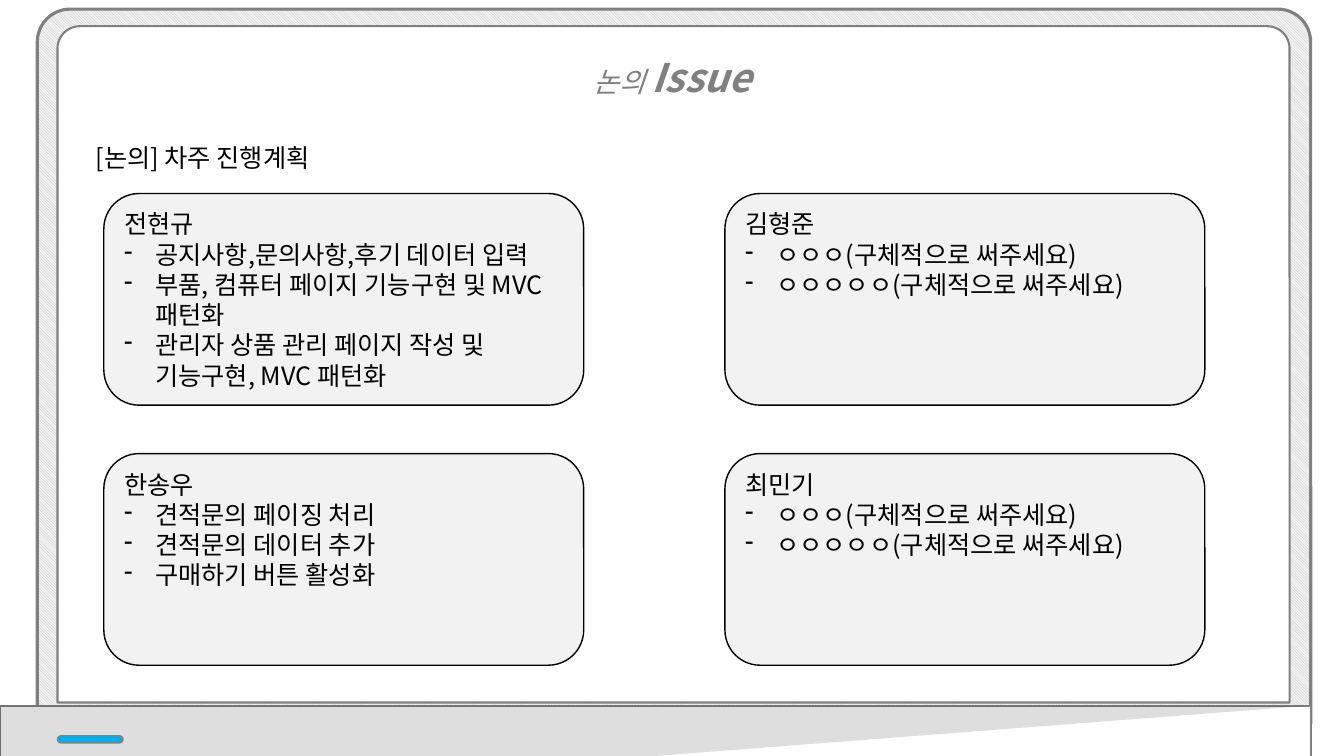
from dataclasses import dataclass

from lxml import etree
from pptx import Presentation
from pptx.dml.color import RGBColor
from pptx.enum import dml, shapes, text
from pptx.oxml import ns
from pptx.util import Inches, Pt


@dataclass(frozen=True)
class Theme:
    font: str = "Noto Sans CJK KR"
    black: str = "000000"
    white: str = "FFFFFF"
    gray: str = "808080"
    hatch: str = "BFBFBF"
    pale: str = "F2F2F2"
    blue: str = "00B0F0"
    head: int = 28
    sub: int = 20
    body: int = 18


T = Theme()
INDENT = Inches(0.31)
TODO = ["ㅇㅇㅇ(구체적으로 써주세요)", "ㅇㅇㅇㅇㅇ(구체적으로 써주세요)"]
PLANS = [
    ("전현규", ["공지사항,문의사항,후기 데이터 입력",
             "부품, 컴퓨터 페이지 기능구현 및 MVC 패턴화",
             "관리자 상품 관리 페이지 작성 및 기능구현, MVC 패턴화"]),
    ("김형준", TODO),
    ("한송우", ["견적문의 페이징 처리", "견적문의 데이터 추가", "구매하기 버튼 활성화"]),
    ("최민기", TODO),
]


def rgb(code):
    return RGBColor.from_string(code)


def paint(shape, fill=None, line=None, width=1.5):
    shape.shadow.inherit = False
    if fill:
        shape.fill.solid()
        shape.fill.fore_color.rgb = rgb(fill)
    if line:
        shape.line.color.rgb = rgb(line)
        shape.line.width = Pt(width)
    else:
        shape.line.fill.background()


def add_box(slide, kind, box, adjust=(), **look):
    shape = slide.shapes.add_shape(kind, *map(Inches, box))
    for i, value in enumerate(adjust):
        shape.adjustments[i] = value
    paint(shape, **look)
    return shape


def add_free(slide, points, **look):
    pen = slide.shapes.build_freeform(*points[0], scale=Inches(1))
    pen.add_line_segments(points[1:], close=True)
    shape = pen.convert_to_shape()
    paint(shape, **look)
    return shape


def add_hinge(slide, box, turn, curve, flip=False):
    """Add one upright bar of the hinge, turned to lie flat."""
    bar = add_box(slide, shapes.MSO_SHAPE.ROUND_2_SAME_RECTANGLE, box,
                  (curve, 0), line=T.gray)
    bar.rotation = turn
    if flip:
        bar._element.spPr.xfrm.set("flipH", "1")
    bar.fill.gradient()
    bar.fill.gradient_angle = 0
    for stop, (place, code) in zip(bar.fill.gradient_stops,
                                   [(0.17, T.gray), (0.59, T.white)]):
        stop.position = place
        stop.color.rgb = rgb(code)


def style(run, size, color, bold=None, italic=None):
    font = run.font
    font.name, font.size = T.font, Pt(size)
    font.bold, font.italic = bold, italic
    font.color.rgb = rgb(color)
    east = etree.SubElement(run._r.get_or_add_rPr(), ns.qn("a:ea"))
    east.set("typeface", T.font)


def add_text(slide, box):
    frame = slide.shapes.add_textbox(*map(Inches, box)).text_frame
    frame.word_wrap = True
    frame.auto_size = text.MSO_AUTO_SIZE.SHAPE_TO_FIT_TEXT
    return frame.paragraphs[0]


def add_dash(para):
    props = para._p.get_or_add_pPr()
    props.set("marL", str(INDENT))
    props.set("indent", str(-INDENT))
    etree.SubElement(props, ns.qn("a:buChar")).set("char", "-")


def add_card(slide, box, name, tasks):
    card = add_box(slide, shapes.MSO_SHAPE.ROUNDED_RECTANGLE, box,
                   fill=T.pale, line=T.black, width=1)
    frame = card.text_frame
    frame.word_wrap = True
    frame.vertical_anchor = text.MSO_ANCHOR.TOP
    frame.text = "\n".join([name, *tasks])
    for i, para in enumerate(frame.paragraphs):
        para.alignment = text.PP_ALIGN.LEFT
        if i:
            add_dash(para)
        style(para.runs[0], T.body, T.black)


def add_laptop(slide):
    top = shapes.MSO_SHAPE.ROUND_2_SAME_RECTANGLE
    lid = add_box(slide, top, (0.37, 0.09, 12.63, 7.09), (0.046, 0),
                  line=T.gray, width=2.25)
    lid.fill.patterned()
    lid.fill.pattern = dml.MSO_PATTERN.LIGHT_DOWNWARD_DIAGONAL
    lid.fill.fore_color.rgb = rgb(T.hatch)
    lid.fill.back_color.rgb = rgb(T.pale)
    add_box(slide, top, (0.57, 0.26, 12.22, 6.71), (0.033, 0),
            fill=T.white, line=T.gray)

    add_hinge(slide, (1.29, 6.17, 0.12, 1.97), 270, 0.193)
    add_hinge(slide, (11.95, 6.17, 0.12, 1.97), 90, 0.193, flip=True)
    add_hinge(slide, (6.62, 2.8, 0.12, 8.7), 270, 0)

    add_free(slide, [(0.39, 7.21), (12.97, 7.21), (13.18, 7.5), (0.17, 7.5)],
             fill=T.white, line=T.gray)
    shade = add_free(slide, [(0.39, 7.18), (0.17, 7.5), (13.02, 7.22)],
                     fill=T.black)
    color = shade._element.spPr.find(ns.qn("a:solidFill"))[0]
    etree.SubElement(color, ns.qn("a:alpha")).set("val", "13000")
    add_box(slide, shapes.MSO_SHAPE.ROUNDED_RECTANGLE, (0.57, 7.3, 0.65, 0.07),
            (0.5,), fill=T.blue, line=T.gray, width=1)


def add_title(slide):
    para = add_text(slide, (3.67, 0.25, 6, 0.72))
    para.alignment = text.PP_ALIGN.CENTER
    para.line_spacing = 1.5
    for words, size, bold in [("논의 ", T.sub, None), ("Issue", T.head, True)]:
        run = para.add_run()
        run.text = words
        style(run, size, T.gray, bold, italic=True)


def main():
    deck = Presentation()
    deck.slide_width, deck.slide_height = Inches(13.33), Inches(7.5)
    slide = deck.slides.add_slide(deck.slide_layouts[6])
    add_laptop(slide)
    add_title(slide)
    for i, (name, tasks) in enumerate(PLANS):
        row, col = divmod(i, 2)
        box = (1.03 + 6.16 * col, 1.92 + 2.58 * row, 4.76, 2.1)
        add_card(slide, box, name, tasks)
    label = add_text(slide, (0.85, 1.36, 4.56, 0.4))
    label.text = "[논의] 차주 진행계획"
    style(label.runs[0], T.body, T.black)
    deck.save("out.pptx")


if __name__ == "__main__":
    main()
